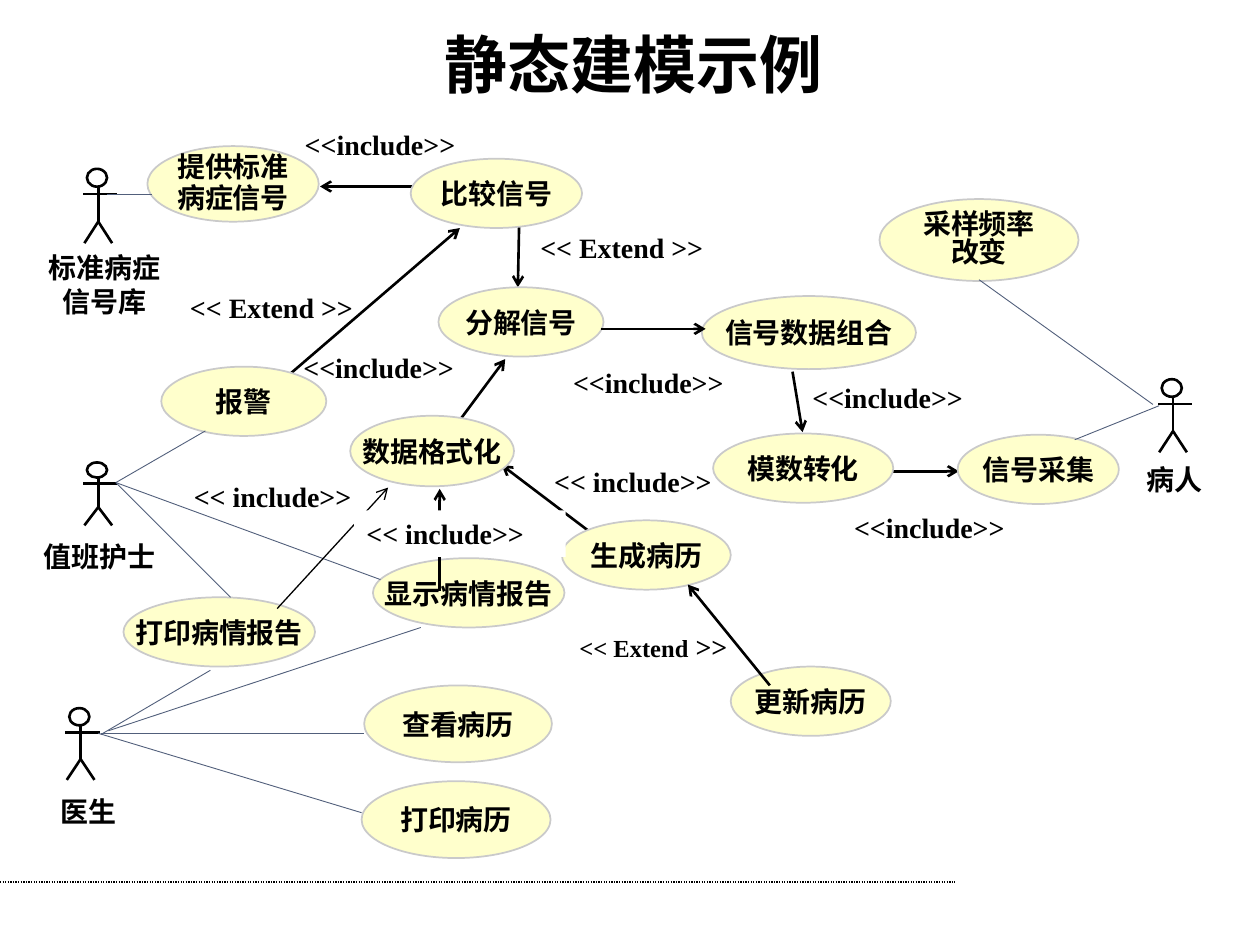
from lxml.etree import SubElement
from pptx import Presentation
from pptx.dml.color import RGBColor
from pptx.enum.dml import MSO_LINE
from pptx.enum.shapes import MSO_CONNECTOR, MSO_SHAPE
from pptx.enum.text import MSO_ANCHOR, PP_ALIGN
from pptx.oxml.ns import qn
from pptx.util import Inches, Pt

BLACK = RGBColor(0x00, 0x00, 0x00)
WHITE = RGBColor(0xFF, 0xFF, 0xFF)
CREAM = RGBColor(0xFF, 0xFF, 0xCC)
SILVER = RGBColor(0xCA, 0xCA, 0xCA)
SLATE = RGBColor(0x51, 0x5F, 0x7B)

TEXT_FONT = {"name": "Times New Roman", "size": Pt(16), "bold": True}
TITLE_FONT = {"name": "Arial", "size": Pt(36), "bold": True}

# Use cases: text, left, top, width, height, line spacing
USE_CASES = [
    ("模数转化", 5.66, 3.44, 1.43, 0.55, 1.0),
    ("数据格式化", 2.78, 3.3, 1.3, 0.56, 1.0),
    ("报警", 1.28, 2.91, 1.31, 0.55, 1.0),
    ("信号采集", 7.6, 3.45, 1.28, 0.55, 1.0),
    ("比较信号", 3.26, 1.26, 1.36, 0.55, 1.0),
    ("信号数据组合", 5.57, 2.35, 1.7, 0.58, 1.0),
    ("采样频率\n改变", 6.98, 1.58, 1.58, 0.65, 0.85),
    ("提供标准\n病症信号", 1.17, 1.16, 1.36, 0.6, 0.9),
    ("生成病历", 4.46, 4.13, 1.34, 0.55, 1.0),
    ("查看病历", 2.89, 5.44, 1.49, 0.61, 1.0),
    ("更新病历", 5.8, 5.29, 1.27, 0.55, 1.0),
    ("打印病历", 2.87, 6.2, 1.5, 0.61, 1.0),
    ("显示病情报告", 2.96, 4.43, 1.52, 0.55, 1.0),
    ("打印病情报告", 0.98, 4.74, 1.52, 0.55, 1.0),
    ("分解信号", 3.48, 2.28, 1.31, 0.55, 1.0),
]

# Actors: body centre, top, height
ACTORS = [(9.31, 3.01, 0.58), (0.78, 3.67, 0.5),
          (0.78, 1.34, 0.59), (0.64, 5.62, 0.57)]

# Actor names: text, left, top, width, height, alignment
ACTOR_NAMES = [
    ("病人", 9, 3.62, 1.07, 0.37, PP_ALIGN.LEFT),
    ("值班护士", 0.25, 4.23, 1.22, 0.37, PP_ALIGN.LEFT),
    ("标准病症\n信号库", 0.13, 1.94, 1.4, 0.64, PP_ALIGN.CENTER),
    ("医生", 0.09, 6.26, 1.22, 0.37, PP_ALIGN.CENTER),
]

# Dependencies that run beneath and above the use cases: start, end
LOWER_DEPENDENCIES = [
    ((4.72, 4.25), (3.98, 3.69)), ((7, 3.74), (7.61, 3.74)),
    ((3.32, 1.48), (2.54, 1.48)), ((6.29, 2.95), (6.37, 3.43)),
    ((4.12, 1.8), (4.11, 2.28)), ((2.3, 2.97), (3.65, 1.81)),
    ((3.66, 3.32), (4.01, 2.85)),
]
UPPER_DEPENDENCIES = [
    ((3.49, 4.69), (3.49, 3.88)), ((4.77, 2.61), (5.6, 2.61)),
    ((6.11, 5.44), (5.46, 4.64)),
]
PRINT_DEPENDENCY = ((2.2, 4.83), (3.08, 3.87))

# Links between actors and use cases: start, end
ASSOCIATIONS = [
    ((0.8, 5.83), (1.67, 5.32)), ((0.8, 5.82), (2.89, 5.82)),
    ((0.78, 5.82), (2.87, 6.45)), ((0.86, 5.8), (3.34, 4.98)),
    ((0.92, 3.83), (1.63, 3.42)), ((0.92, 3.83), (3.02, 4.6)),
    ((0.92, 3.83), (1.83, 4.74)), ((0.85, 1.54), (1.21, 1.54)),
    ((7.77, 2.22), (9.15, 3.21)), ((9.2, 3.22), (8.53, 3.49)),
]

# Stereotypes: text, left, top, width
STEREOTYPES = [
    ("<< Extend >>", 1.41, 2.26, 1.74),
    ("<< Extend >>", 4.19, 1.78, 1.66),
    ("<<include>>", 4.45, 2.85, 1.42),
    ("<<include>>", 6.35, 2.97, 1.46),
    ("<<include>>", 6.68, 4, 1.55),
    ("<< include>>", 4.3, 3.64, 1.68),
    ("<<include>>", 2.32, 0.96, 1.42),
    ("<<include>>", 2.31, 2.73, 1.42),
    ("<< include>>", 1.44, 3.76, 1.68),
]
LABEL_HEIGHT = 0.37


def style_font(font, values):
    for attribute, value in values.items():
        setattr(font, attribute, value)
    font.color.rgb = BLACK


def write(frame, text, values=TEXT_FONT, align=PP_ALIGN.LEFT, spacing=1.0):
    for index, words in enumerate(text.split("\n")):
        paragraph = frame.paragraphs[0] if index == 0 else frame.add_paragraph()
        paragraph.alignment = align
        paragraph.line_spacing = spacing
        run = paragraph.add_run()
        run.text = words
        style_font(run.font, values)


def add_label(slide, text, left, top, width, height=LABEL_HEIGHT, **style):
    label = slide.shapes.add_textbox(*map(Inches, (left, top, width, height)))
    label.text_frame.word_wrap = True
    write(label.text_frame, text, **style)
    return label


def add_line(slide, start, end, color=BLACK, width=1.5, arrow=False):
    line = slide.shapes.add_connector(
        MSO_CONNECTOR.STRAIGHT, *map(Inches, (*start, *end)))
    line.line.color.rgb = color
    line.line.width = Pt(width)
    if arrow:
        SubElement(line.line._get_or_add_ln(), qn("a:tailEnd"), type="arrow")
    SubElement(line._element.spPr, qn("a:effectLst"))
    return line


def add_ellipse(slide, left, top, width, height, color, weight):
    ellipse = slide.shapes.add_shape(
        MSO_SHAPE.OVAL, *map(Inches, (left, top, width, height)))
    ellipse.shadow.inherit = False
    ellipse.line.color.rgb = color
    ellipse.line.width = Pt(weight)
    return ellipse


def add_use_case(slide, text, left, top, width, height, spacing):
    use_case = add_ellipse(slide, left, top, width, height, SILVER, 1)
    use_case.fill.solid()
    use_case.fill.fore_color.rgb = CREAM
    use_case.text_frame.word_wrap = False
    use_case.text_frame.vertical_anchor = MSO_ANCHOR.MIDDLE
    write(use_case.text_frame, text, align=PP_ALIGN.CENTER, spacing=spacing)


def add_actor(slide, center, top, height):
    neck, arms, hip = (top + height * part for part in (0.24, 0.34, 0.71))
    head = add_ellipse(slide, center - 0.09, top, 0.16, neck - top, BLACK, 1.5)
    head.fill.background()
    add_line(slide, (center, neck), (center, hip))
    for foot in (center + 0.11, center - 0.11):
        add_line(slide, (center, hip), (foot, top + height))
    add_line(slide, (center + 0.15, arms), (center - 0.12, arms))


def main():
    deck = Presentation()
    deck.slide_width, deck.slide_height = Inches(10), Inches(7.5)
    slide = deck.slides.add_slide(deck.slide_layouts[6])

    # Footer rule
    footer_rule = add_line(slide, (0, 7), (7.58, 7), width=0.75)
    footer_rule.line.dash_style = MSO_LINE.ROUND_DOT

    # Dependencies beneath the use cases
    for start, end in LOWER_DEPENDENCIES:
        add_line(slide, start, end, arrow=True)

    # Actors and use cases
    for actor in ACTORS:
        add_actor(slide, *actor)
    for *name, align in ACTOR_NAMES:
        add_label(slide, *name, align=align)
    for use_case in USE_CASES:
        add_use_case(slide, *use_case)

    # Associations and the upper dependencies
    for start, end in ASSOCIATIONS:
        add_line(slide, start, end, SLATE, 0.5)
    for start, end in UPPER_DEPENDENCIES:
        add_line(slide, start, end, arrow=True)
    add_line(slide, *PRINT_DEPENDENCY, width=0.75, arrow=True)

    # Stereotypes
    for stereotype in STEREOTYPES:
        add_label(slide, *stereotype)
    update_label = add_label(slide, "<< Extend", 4.5, 4.95, 1.45,
                             values={**TEXT_FONT, "size": Pt(14)})
    closing = update_label.text_frame.paragraphs[0].add_run()
    closing.text = " >>"
    style_font(closing.font, TEXT_FONT)
    display_label = add_label(slide, "<< include>>", 2.81, 4.05, 1.68)
    display_label.fill.solid()
    display_label.fill.fore_color.rgb = WHITE

    # Title
    title = add_label(slide, "静态建模示例", 0.5, 0.25, 9.05, 0.5,
                      values=TITLE_FONT, align=PP_ALIGN.CENTER)
    title.text_frame.vertical_anchor = MSO_ANCHOR.MIDDLE

    deck.save("out.pptx")


if __name__ == "__main__":
    main()
